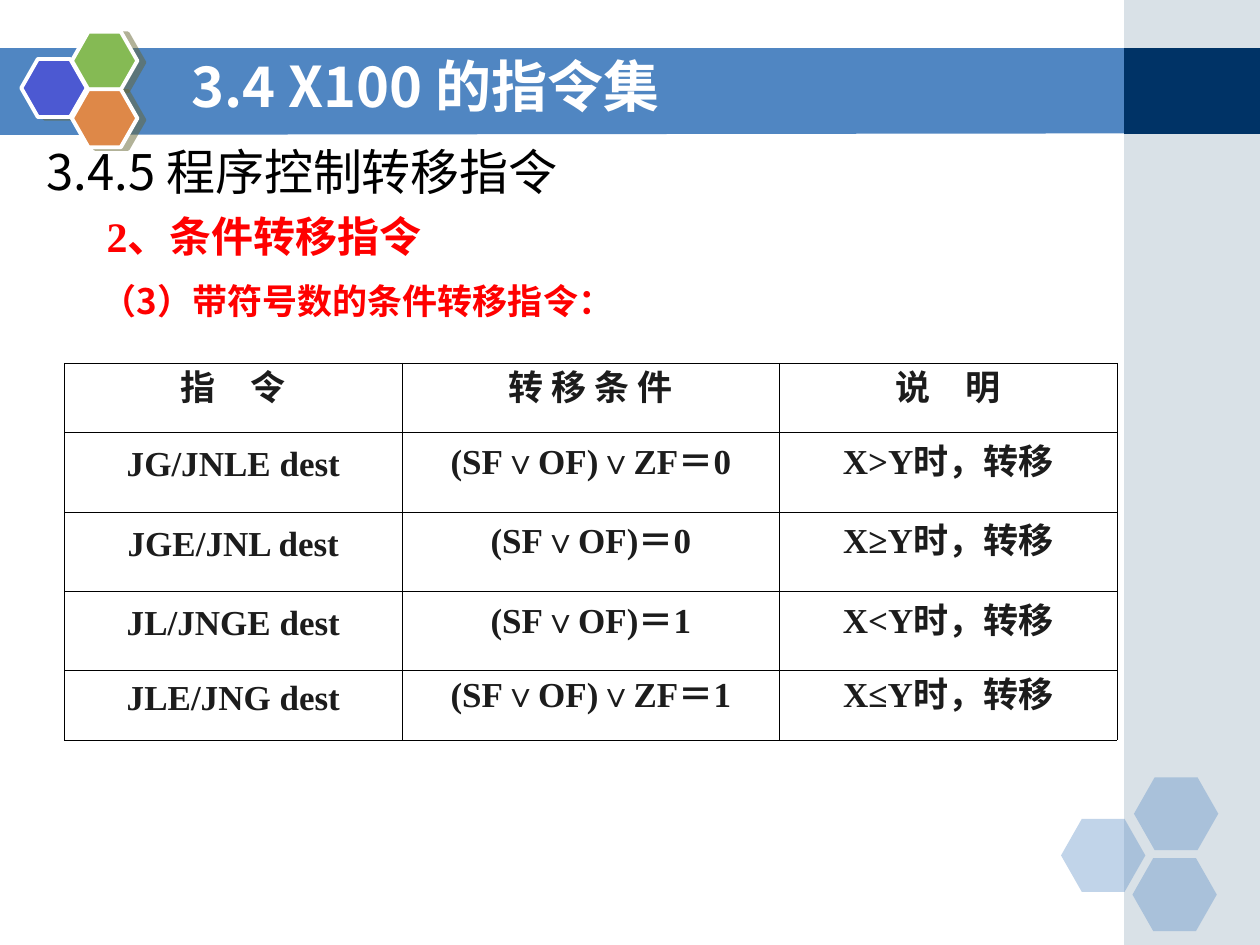
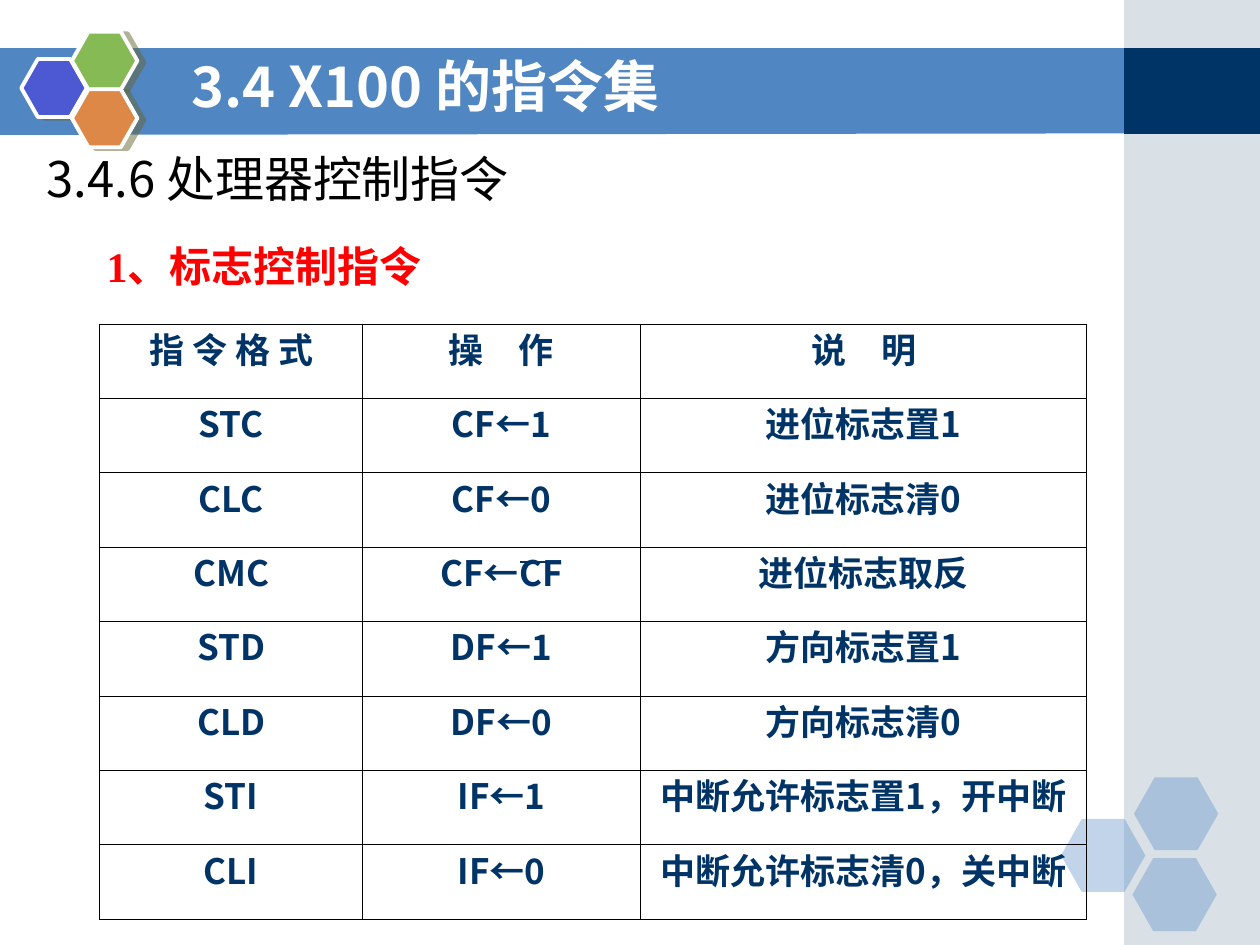
import pptx
import pptx.util
import pptx.dml.color
import pptx.enum.shapes
import pptx.enum.text
import pptx.oxml
import pptx.oxml.ns
from lxml import etree

Cm, Pt = pptx.util.Cm, pptx.util.Pt
RGB = pptx.dml.color.RGBColor.from_string
SHAPE = pptx.enum.shapes.MSO_SHAPE
ALIGN = pptx.enum.text.PP_ALIGN
ANCHOR = pptx.enum.text.MSO_ANCHOR
qn = pptx.oxml.ns.qn

COLORS = {
    "band": "5086C2", "side": "A0B5C4", "navy": "003366",
    "blue": "4C59D2", "green": "85BA54", "orange": "DE8848",
    "shadow": "666633", "white": "FFFFFF", "black": "000000",
    "red": "FF0000", "ink": "1C1C1C",
}
SANS, SERIF = "Noto Sans CJK SC", "Times New Roman"
TITLE = "3.4 X100 的指令集"

# Decoration: kind, left, top, width, height, colour, opacity in percent
DECOR = [
    (SHAPE.RECTANGLE, 22.66, 0, 2.74, 19.05, "side", 40),
    (SHAPE.RECTANGLE, 22.66, 0.97, 2.74, 1.73, "navy", 100),
    (SHAPE.HEXAGON, 21.39, 16.51, 1.7, 1.47, "band", 35),
    (SHAPE.HEXAGON, 22.86, 15.67, 1.7, 1.47, "band", 35),
    (SHAPE.HEXAGON, 22.83, 17.3, 1.7, 1.47, "band", 35),
]
BADGE = [(0.43, 1.19, "blue"), (1.45, 0.64, "green"), (1.45, 1.8, "orange")]

# Text boxes: text, left, top, width, height, size, font, colour, bold, before, after
# Tables: left, top, column widths, row heights, font, colour, rows
SLIDES = [
    {
        "texts": [
            ("3.4.5 程序控制转移指令", 0.69, 2.72, 12.9, 1.45, 28, SANS, "black", False, 17.5, 0),
            ("2、条件转移指令", 1.9, 4.11, 21.79, 1.8, 24, SERIF, "red", True, 6, 6),
            ("（3）带符号数的条件转移指令：", 1.8, 5.51, 23.5, 1.6, 20, SANS, "red", True, 5, 0),
        ],
        "table": (1.3, 7.32, [6.81, 7.6, 6.81], [1.4, 1.6, 1.6, 1.6, 1.4], SERIF, "ink", [
            ("指　令", "转 移 条 件", "说　明"),
            ("JG/JNLE dest", "(SF∨OF)∨ZF＝0", "X>Y时，转移"),
            ("JGE/JNL dest", "(SF∨OF)＝0", "X≥Y时，转移"),
            ("JL/JNGE dest", "(SF∨OF)＝1", "X<Y时，转移"),
            ("JLE/JNG dest", "(SF∨OF)∨ZF＝1", "X≤Y时，转移"),
        ]),
    },
    {
        "texts": [
            ("3.4.6 处理器控制指令", 0.69, 2.87, 12.9, 1.45, 28, SANS, "black", False, 17.5, 0),
            ("1、标志控制指令", 1.9, 4.72, 21.79, 1.8, 24, SERIF, "red", True, 6, 6),
        ],
        "table": (2.01, 6.53, [5.3, 5.6, 9], [1.5] * 8, SANS, "navy", [
            ("指 令 格 式", "操　作", "说　明"),
            ("STC", "CF←1", "进位标志置1"),
            ("CLC", "CF←0", "进位标志清0"),
            ("CMC", "CF←CF", "进位标志取反"),
            ("STD", "DF←1", "方向标志置1"),
            ("CLD", "DF←0", "方向标志清0"),
            ("STI", "IF←1", "中断允许标志置1，开中断"),
            ("CLI", "IF←0", "中断允许标志清0，关中断"),
        ]),
        "overline": (10.49, 11.13, 11.33),
    },
]


def write(tf, text, size, font, color, bold=True, align=ALIGN.LEFT):
    tf.text = text
    p = tf.paragraphs[0]
    p.alignment = align
    r = p.runs[0]
    r.font.size, r.font.bold, r.font.name = Pt(size), bold, font
    r.font.color.rgb = RGB(COLORS[color])
    ea = etree.SubElement(r.font._element, qn("a:ea"))
    ea.set("typeface", SANS)
    return p


def add_solid(s, kind, x, y, w, h, color, alpha=100):
    sp = s.shapes.add_shape(kind, Cm(x), Cm(y), Cm(w), Cm(h))
    sp.shadow.inherit = False
    sp.fill.solid()
    sp.fill.fore_color.rgb = RGB(COLORS[color])
    sp.line.fill.background()
    if kind == SHAPE.HEXAGON:
        sp.adjustments[0] = 0.285
    if alpha < 100:
        clr = sp.element.spPr.find(qn("a:solidFill"))[0]
        etree.SubElement(clr, qn("a:alpha")).set("val", str(alpha * 1000))
    return sp


prs = pptx.Presentation()
prs.slide_width, prs.slide_height = Cm(25.4), Cm(19.05)

for page in SLIDES:
    s = prs.slides.add_slide(prs.slide_layouts[5])

    # Title band
    fb = s.shapes.build_freeform(0, Cm(0.97))
    fb.add_line_segments([(Cm(22.73), Cm(0.97)), (Cm(22.73), Cm(2.69)), (0, Cm(2.72))])
    band = fb.convert_to_shape()
    band.shadow.inherit = False
    band.fill.solid()
    band.fill.fore_color.rgb = RGB(COLORS["band"])
    band.line.fill.background()

    # Side strip and pale hexagons
    for item in DECOR:
        add_solid(s, *item)

    # Hexagon badge with a hard shadow
    for x, y, color in BADGE:
        sp = add_solid(s, SHAPE.HEXAGON, x, y, 1.32, 1.17, color)
        sp.line.color.rgb = RGB(COLORS["white"])
        sp.line.width = Pt(2.25)
        effects = sp.element.spPr.find(qn("a:effectLst"))
        shadow = etree.SubElement(effects, qn("a:outerShdw"), blurRad="0",
                                  dist=str(Pt(4.1)), dir="840000", algn="ctr", rotWithShape="0")
        clr = etree.SubElement(shadow, qn("a:srgbClr"), val=COLORS["shadow"])
        etree.SubElement(clr, qn("a:alpha"), val="50000")

    # Title, brought in front of the band
    title = s.shapes.title
    title.left, title.top, title.width, title.height = Cm(3.61), Cm(0.93), Cm(18.62), Cm(1.57)
    title.text_frame.vertical_anchor = ANCHOR.MIDDLE
    write(title.text_frame, TITLE, 32, SANS, "white")
    s.shapes.element.append(title.element)

    # Headings
    for text, x, y, w, h, size, font, color, bold, before, after in page["texts"]:
        tf = s.shapes.add_textbox(Cm(x), Cm(y), Cm(w), Cm(h)).text_frame
        tf.word_wrap = True
        if size == 28:
            tf.auto_size = pptx.enum.text.MSO_AUTO_SIZE.SHAPE_TO_FIT_TEXT
        p = write(tf, text, size, font, color, bold)
        p.space_before, p.space_after = Pt(before), Pt(after)

    # Instruction table
    x, y, widths, heights, font, color, rows = page["table"]
    table = s.shapes.add_table(len(rows), len(widths), Cm(x), Cm(y),
                               Cm(sum(widths)), Cm(sum(heights))).table
    for col, w in zip(table.columns, widths):
        col.width = Cm(w)
    for i, row in enumerate(rows):
        table.rows[i].height = Cm(heights[i])
        for j, text in enumerate(row):
            cell = table.cell(i, j)
            cell.vertical_anchor = ANCHOR.MIDDLE
            cell.margin_left = cell.margin_right = Cm(0.1)
            cell.fill.background()
            p = write(cell.text_frame, text, 20, font, color, True, ALIGN.CENTER)
            p.line_spacing = Pt(14)
            tcPr = cell._tc.get_or_add_tcPr()
            for k, side in enumerate(("a:lnL", "a:lnR", "a:lnT", "a:lnB")):
                ln = etree.Element(qn(side), w=str(Pt(0.45)))
                fill = etree.SubElement(ln, qn("a:solidFill"))
                etree.SubElement(fill, qn("a:srgbClr"), val=COLORS["black"])
                tcPr.insert(k, ln)

    # Negation bar over the second CF
    if "overline" in page:
        x1, x2, y = page["overline"]
        bar = s.shapes.add_connector(pptx.enum.shapes.MSO_CONNECTOR.STRAIGHT,
                                     Cm(x1), Cm(y), Cm(x2), Cm(y))
        bar.line.color.rgb = RGB(COLORS["navy"])
        bar.line.width = Pt(0.75)
        etree.SubElement(bar.element.spPr, qn("a:effectLst"))

prs.save("out.pptx")
